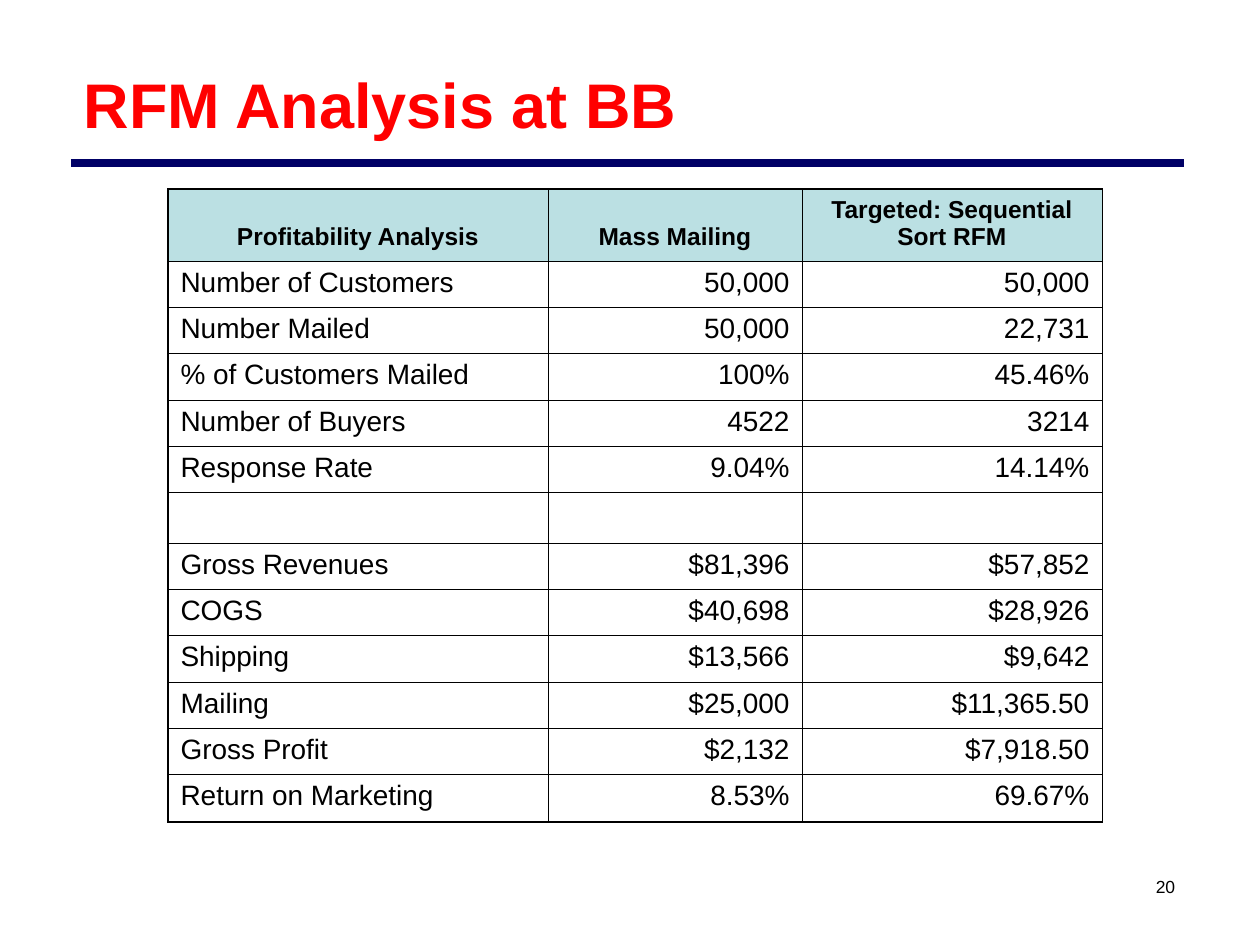
from lxml import etree
from pptx import Presentation, util as u
from pptx.dml.color import RGBColor
from pptx.enum import shapes, text
from pptx.oxml import ns

PX = 914400 / 126
RED = RGBColor(0xFF, 0x00, 0x00)
NAVY = RGBColor(0x00, 0x00, 0x66)
BLACK = RGBColor(0x00, 0x00, 0x00)
PALE = RGBColor(0xBB, 0xE0, 0xE3)
THIN, THICK = 0.45, 1.08
LEFT, MID, RIGHT = text.PP_ALIGN.LEFT, text.PP_ALIGN.CENTER, text.PP_ALIGN.RIGHT


def write(frame, words, size, color, align, bold=False):
    para = frame.paragraphs[0]
    para.alignment = align
    run = para.add_run()
    run.text = words
    run.font.name = "Arial"
    run.font.size = u.Pt(size)
    run.font.bold = bold
    run.font.color.rgb = color


def border(cell, side, width):
    props = cell._tc.get_or_add_tcPr()
    line = etree.SubElement(props, ns.qn("a:ln" + side), w=str(u.Pt(width)))
    fill = etree.SubElement(line, ns.qn("a:solidFill"))
    etree.SubElement(fill, ns.qn("a:srgbClr"), val=str(BLACK))


deck = Presentation()
deck.slide_width, deck.slide_height = u.Inches(10), u.Inches(7.5)
slide = deck.slides.add_slide(deck.slide_layouts[5])

# Title
title = slide.shapes.title
title.left, title.top, title.width, title.height = [
    round(n * PX) for n in (71, 38, 1110, 130)]
title.text_frame.vertical_anchor = text.MSO_ANCHOR.MIDDLE
write(title.text_frame, "RFM Analysis at BB", 36, RED, LEFT, True)

# Rule under the title
rule = slide.shapes.add_connector(
    shapes.MSO_CONNECTOR.STRAIGHT,
    *[round(n * PX) for n in (71, 163, 1184, 163)])
rule.line.color.rgb = NAVY
rule.line.width = u.Pt(4.5)
etree.SubElement(rule._element.spPr, ns.qn("a:effectLst"))

# Profitability table
rows = [
    ("Profitability Analysis", "Mass Mailing", "Targeted: Sequential Sort RFM"),
    ("Number of Customers", "50,000", "50,000"),
    ("Number Mailed", "50,000", "22,731"),
    ("% of Customers Mailed", "100%", "45.46%"),
    ("Number of Buyers", "4522", "3214"),
    ("Response Rate", "9.04%", "14.14%"),
    ("", "", ""),
    ("Gross Revenues", "$81,396", "$57,852"),
    ("COGS", "$40,698", "$28,926"),
    ("Shipping", "$13,566", "$9,642"),
    ("Mailing", "$25,000", "$11,365.50"),
    ("Gross Profit", "$2,132", "$7,918.50"),
    ("Return on Marketing", "8.53%", "69.67%"),
]
wide = [380, 254, 300]
high = [72] + [46, 46, 47, 46, 46, 48] * 2
frame = slide.shapes.add_table(
    len(rows), len(wide),
    *[round(n * PX) for n in (168, 189, sum(wide), sum(high))])
table = frame.table
table.first_row = table.horz_banding = False
for col, width in zip(table.columns, wide):
    col.width = round(width * PX)
for row, height in zip(table.rows, high):
    row.height = round(height * PX)

for r, row in enumerate(rows):
    for c, words in enumerate(row):
        cell = table.cell(r, c)
        border(cell, "L", THICK if c == 0 else THIN)
        border(cell, "R", THIN)
        border(cell, "T", THICK if r == 0 else THIN)
        border(cell, "B", THICK if r == len(rows) - 1 else THIN)
        if r == 0:
            cell.fill.solid()
            cell.fill.fore_color.rgb = PALE
            cell.vertical_anchor = text.MSO_ANCHOR.BOTTOM
            cell.margin_top, cell.margin_bottom = round(5 * PX), round(10 * PX)
            write(cell.text_frame, words, 14, BLACK, MID, True)
        else:
            cell.fill.background()
            if words:
                write(cell.text_frame, words, 16, BLACK, RIGHT if c else LEFT)

# Page number
page = slide.shapes.add_textbox(*[round(n * PX) for n in (1134, 863, 63, 47)])
page.text_frame.word_wrap = True
page.text_frame.vertical_anchor = text.MSO_ANCHOR.MIDDLE
write(page.text_frame, "20", 10, BLACK, MID)

deck.save("out.pptx")
